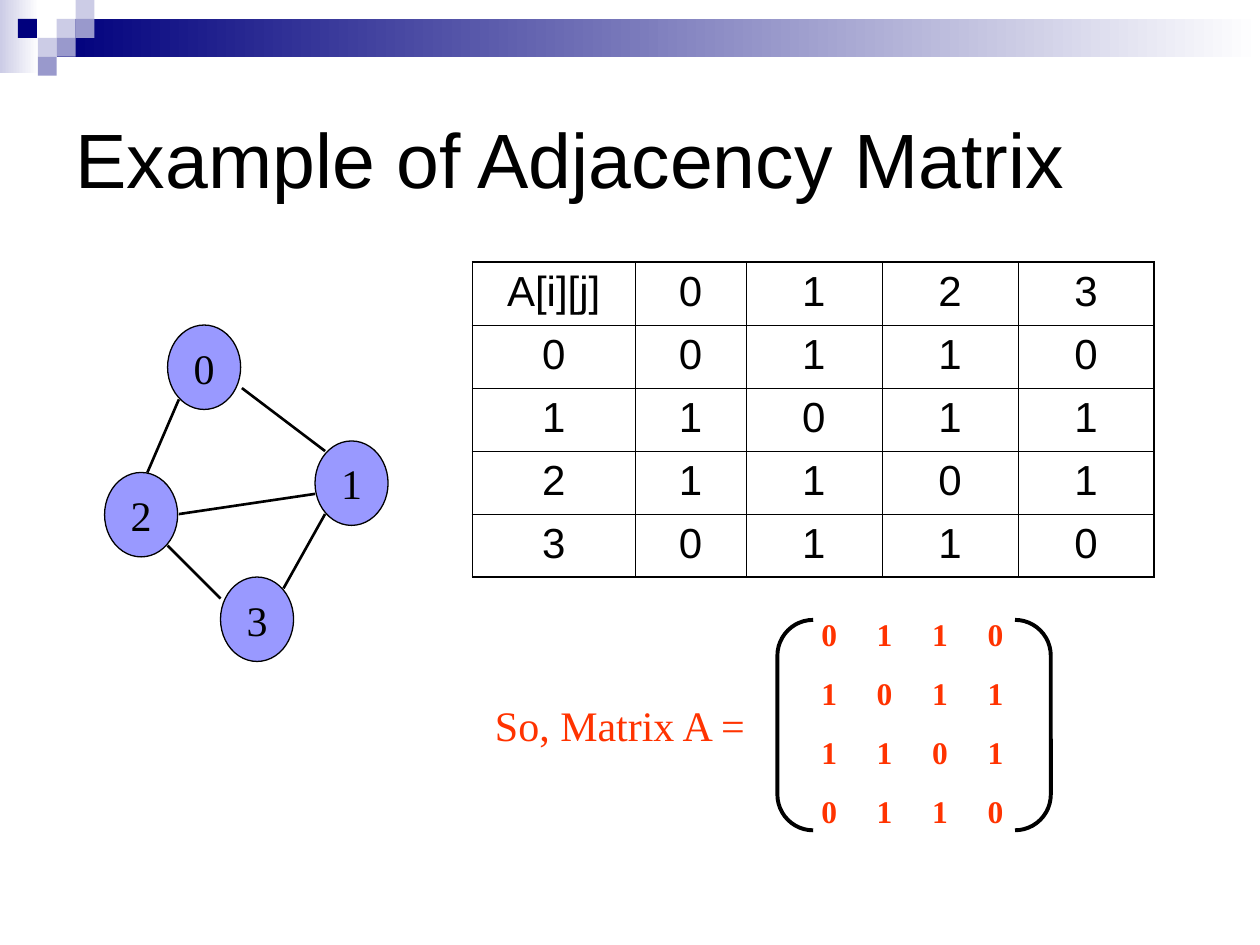
from pptx import Presentation
from pptx.dml.color import RGBColor
from pptx.enum.shapes import MSO_CONNECTOR, MSO_SHAPE
from pptx.enum.text import MSO_ANCHOR, PP_ALIGN
from pptx.oxml.ns import qn
from pptx.util import Inches, Pt
from lxml.etree import SubElement

BLACK = RGBColor(0, 0, 0)
WHITE = RGBColor(255, 255, 255)
NAVY = RGBColor(0x00, 0x00, 0x7D)
PALE = RGBColor(0xCC, 0xCC, 0xE6)
MID = RGBColor(0x99, 0x99, 0xCC)
LILAC = RGBColor(0x99, 0x99, 0xFF)
RED = RGBColor(0xFF, 0x33, 0x00)
SANS, SERIF = "Arial", "Times New Roman"

LINKS = [[0, 1, 1, 0], [1, 0, 1, 1], [1, 1, 0, 1], [0, 1, 1, 0]]


def add_run(para, text, size, face, color, bold=False):
    run = para.add_run()
    run.text = text
    font = run.font
    font.size, font.name, font.bold = Pt(size), face, bold
    font.color.rgb = color


def add_shape(slide, kind, x, y, w, h, fill=None, line=None, width=0.75):
    shape = slide.shapes.add_shape(kind, Inches(x), Inches(y), Inches(w), Inches(h))
    shape.shadow.inherit = False
    if fill is None:
        shape.fill.background()
    else:
        shape.fill.solid()
        shape.fill.fore_color.rgb = fill
    if line is None:
        shape.line.fill.background()
    else:
        shape.line.color.rgb = line
        shape.line.width = Pt(width)
    return shape


def add_band(slide, x, y):
    # Bars that fade to white
    for dx, dy, w, h, color in [(0, 0, 0.31, 0.58, PALE), (0.45, 0.15, 9.55, 0.3, NAVY)]:
        bar = add_shape(slide, MSO_SHAPE.RECTANGLE, x + dx, y + dy, w, h, color)
        bar.fill.gradient()
        bar.fill.gradient_angle = 0
        for stop, tone in zip(bar.fill.gradient_stops, (color, WHITE)):
            stop.color.rgb = tone
            stop.position = 0 if tone == color else 1
    # Small squares on a grid: column, row
    side = 0.15
    for col, row, color in [(3, 1, PALE), (4, 0, PALE), (4, 1, MID), (2, 2, PALE),
                            (0.95, 1, NAVY), (3, 2, MID), (2, 3, MID)]:
        add_shape(slide, MSO_SHAPE.RECTANGLE, x + col * side, y + row * side,
                  side, side, color)


def add_title(slide, x, y, w, h):
    title = slide.shapes.title
    title.left, title.top, title.width, title.height = map(Inches, (x, y, w, h))
    frame = title.text_frame
    frame.vertical_anchor = MSO_ANCHOR.MIDDLE
    para = frame.paragraphs[0]
    para.alignment = PP_ALIGN.LEFT
    add_run(para, "Example of Adjacency Matrix", 44, SANS, BLACK)


def add_graph(slide, x, y):
    # Nodes
    spots = {"0": (0.5, 0), "1": (1.67, 0.92), "3": (0.92, 2), "2": (0, 1.17)}
    for name, (dx, dy) in spots.items():
        node = add_shape(slide, MSO_SHAPE.OVAL, x + dx, y + dy, 0.58, 0.67, LILAC, BLACK)
        frame = node.text_frame
        frame.word_wrap = False
        frame.vertical_anchor = MSO_ANCHOR.MIDDLE
        para = frame.paragraphs[0]
        para.alignment = PP_ALIGN.CENTER
        add_run(para, name, 24, SERIF, BLACK)
    # Edges: 0-2, 2-3, 2-1, 0-1, 1-3
    for x1, y1, x2, y2 in [(0.59, 0.59, 0.34, 1.17), (0.5, 1.75, 0.92, 2.17),
                           (0.59, 1.5, 1.67, 1.34), (1.09, 0.5, 1.75, 1),
                           (1.75, 1.5, 1.42, 2.09)]:
        edge = slide.shapes.add_connector(
            MSO_CONNECTOR.STRAIGHT, Inches(x + x1), Inches(y + y1),
            Inches(x + x2), Inches(y + y2))
        edge.line.color.rgb = BLACK
        edge.line.width = Pt(1.5)
        SubElement(edge._element.spPr, qn("a:effectLst"))


def set_sides(cell, sides):
    props = cell._tc.get_or_add_tcPr()
    for spot, (tag, width) in enumerate(sides.items()):
        line = SubElement(props, qn("a:" + tag), w=str(Pt(width)))
        fill = SubElement(line, qn("a:solidFill"))
        SubElement(fill, qn("a:srgbClr"), val=str(BLACK))
        props.insert(spot, line)


def add_grid(slide, x, y, w, h):
    rows = [["A[i][j]", *range(4)]] + [[i, *row] for i, row in enumerate(LINKS)]
    last = len(rows) - 1
    table = slide.shapes.add_table(
        len(rows), len(rows), Inches(x), Inches(y), Inches(w), Inches(h)).table
    table.first_row = table.horz_banding = False
    for col, size in zip(table.columns, (1.29, 0.88, 1.08, 1.08, 1.08)):
        col.width = Inches(size)
    thin, thick = 0.45, 1.08
    for i, row in enumerate(rows):
        for j, value in enumerate(row):
            cell = table.cell(i, j)
            cell.fill.background()
            set_sides(cell, {"lnL": thin if j else thick,
                             "lnR": thick if j == last else thin,
                             "lnT": thin if i else thick,
                             "lnB": thick if i == last else thin})
            para = cell.text_frame.paragraphs[0]
            para.alignment = PP_ALIGN.CENTER
            add_run(para, str(value), 24, SANS, BLACK)


def add_text(slide, x, y, w, h):
    box = slide.shapes.add_textbox(Inches(x), Inches(y), Inches(w), Inches(h))
    box.text_frame.word_wrap = True
    return box.text_frame


def add_matrix(slide, x, y):
    # Label
    label = add_text(slide, x + 0.08, y + 0.67, 2.42, 0.5)
    add_run(label.paragraphs[0], "So, Matrix A =", 24, SERIF, RED)
    # Brackets
    pair = add_shape(slide, MSO_SHAPE.DOUBLE_BRACKET, x + 2.42, y + 0.09, 2.17, 1.67,
                     line=BLACK, width=2.25)
    pair.adjustments[0] = 0.17
    # Entries, aligned by tab stops
    frame = add_text(slide, x + 2.67, y, 1.83, 1.77)
    for i, row in enumerate(LINKS):
        para = frame.add_paragraph() if i else frame.paragraphs[0]
        tabs = SubElement(para._p.get_or_add_pPr(), qn("a:tabLst"))
        for k in range(1, len(row)):
            SubElement(tabs, qn("a:tab"), pos=str(Inches(0.44 * k)), algn="l")
        if i:
            para.space_before = Pt(12.2)
        add_run(para, "\t".join(map(str, row)), 18, SERIF, RED, True)


def main():
    deck = Presentation()
    deck.slide_width, deck.slide_height = Inches(10), Inches(7.5)
    slide = deck.slides.add_slide(deck.slide_layouts[5])
    add_band(slide, 0, 0)
    add_title(slide, 0.5, 0.5, 9, 1.5)
    add_graph(slide, 0.83, 2.58)
    add_grid(slide, 3.75, 2.08, 5.42, 2.5)
    add_matrix(slide, 3.75, 4.83)
    deck.save("out.pptx")


if __name__ == "__main__":
    main()
